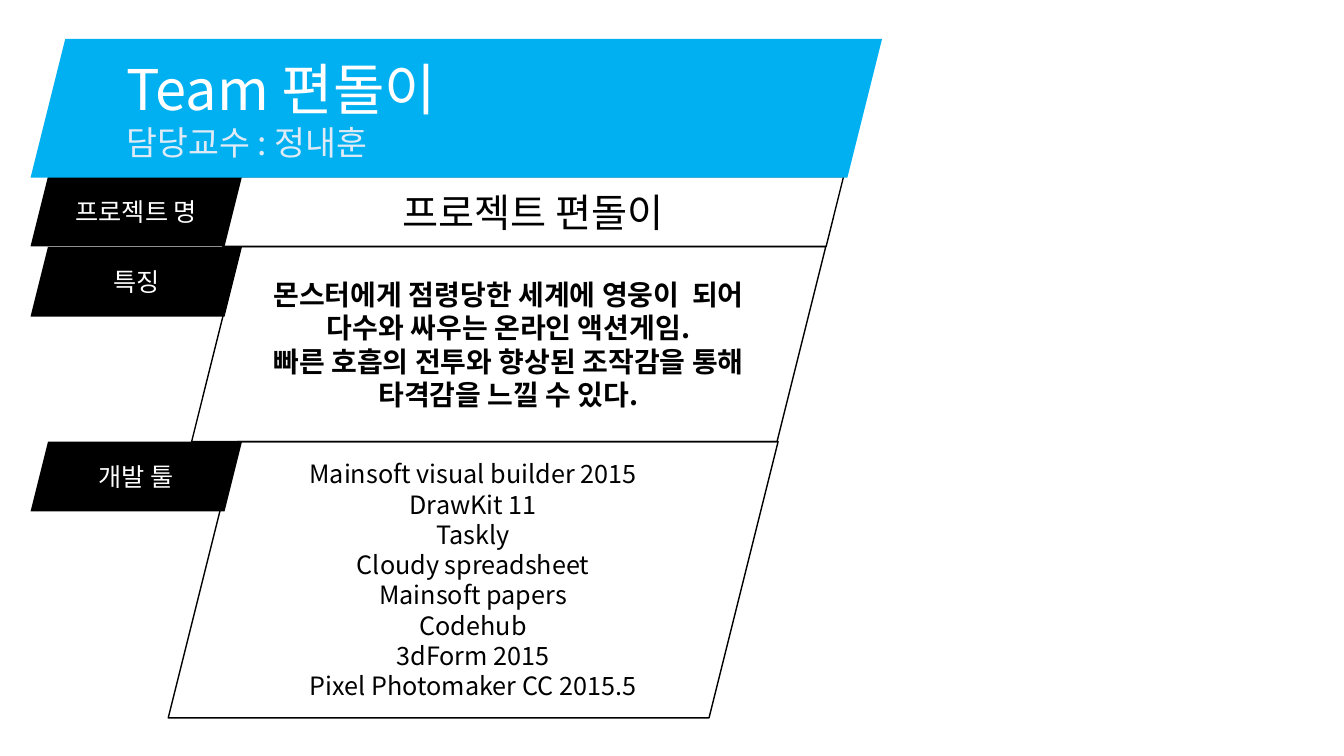
from lxml.etree import SubElement
from pptx import Presentation
from pptx.dml.color import RGBColor
from pptx.enum.shapes import MSO_SHAPE
from pptx.enum.text import MSO_ANCHOR, MSO_AUTO_SIZE, PP_ALIGN
from pptx.oxml.ns import qn
from pptx.util import Cm, Pt

theme = {
    "font": "Noto Sans CJK KR",
    "black": RGBColor(0, 0, 0),
    "white": RGBColor(255, 255, 255),
    "blue": RGBColor(0x00, 0xB0, 0xF0),
    "pale": RGBColor(0xDE, 0xEB, 0xF7),
    "title": Pt(40),
    "sub": Pt(24),
    "name": Pt(28),
    "trait": Pt(20),
    "text": Pt(18),
    "line": Pt(1),
}


def slant(box, fill=None):
    shape = slide.shapes.add_shape(MSO_SHAPE.PARALLELOGRAM, *map(Cm, box))
    shape.shadow.inherit = False
    if fill:
        shape.fill.solid()
        shape.fill.fore_color.rgb = theme[fill]
        shape.line.fill.background()
    else:
        shape.fill.background()
        shape.line.color.rgb = theme["black"]
        shape.line.width = theme["line"]
    return shape


def write(shape, lines, align, pad=None):
    frame = shape.text_frame
    form = {"word_wrap": True, "auto_size": MSO_AUTO_SIZE.NONE,
            "vertical_anchor": MSO_ANCHOR.MIDDLE}
    if pad is not None:
        for side in ("left", "top", "right", "bottom"):
            form["margin_" + side] = pad
    for key, value in form.items():
        setattr(frame, key, value)
    for i, (text, size, color, bold) in enumerate(lines):
        para = frame.add_paragraph() if i else frame.paragraphs[0]
        para.alignment = align
        run = para.add_run()
        run.text = text
        for key, value in {"name": theme["font"], "size": theme[size], "bold": bold}.items():
            setattr(run.font, key, value)
        run.font.color.rgb = theme[color]
        SubElement(run.font._element, qn("a:ea"), typeface=theme["font"])


deck = Presentation()
deck.slide_width, deck.slide_height = Cm(33.87), Cm(19.05)
slide = deck.slides.add_slide(deck.slide_layouts[5])

tools = ["Mainsoft visual builder 2015", "DrawKit 11", "Taskly", "Cloudy spreadsheet",
         "Mainsoft papers", "Codehub", "3dForm 2015", "Pixel Photomaker CC 2015.5"]
traits = ["몬스터에게 점령당한 세계에 영웅이  되어 다수와 싸우는 온라인 액션게임.",
          "빠른 호흡의 전투와 향상된 조작감을 통해 타격감을 느낄 수 있다."]
rows = [
    ("프로젝트 명", 4.45, (5.61, 15.65, 1.76), ["프로젝트 편돌이"], "name", False, None),
    ("특징", 6.22, (4.83, 15.98, 4.91), traits, "trait", True, 0),
    ("개발 툴", 11.13, (4.24, 15.37, 6.96), tools, "text", False, 0),
]
for label, top, (left, width, height), lines, size, bold, pad in rows:
    tag = slant((0.77, top, 5.33, 1.76), "black")
    write(tag, [(label, "text", "white", False)], PP_ALIGN.CENTER)
    body = slant((left, top, width, height))
    write(body, [(text, size, "black", bold) for text in lines], PP_ALIGN.CENTER, pad)

band = slant((0.77, 0.98, 21.46, 3.5), "blue")
head = slide.shapes.title
band._element.addnext(head._element)
for key, size in {"left": 2.93, "top": 0.98, "width": 17.14, "height": 3.5}.items():
    setattr(head, key, Cm(size))
write(head, [("Team 편돌이", "title", "white", False),
             ("담당교수 : 정내훈", "sub", "pale", False)], PP_ALIGN.LEFT)

deck.save("out.pptx")
